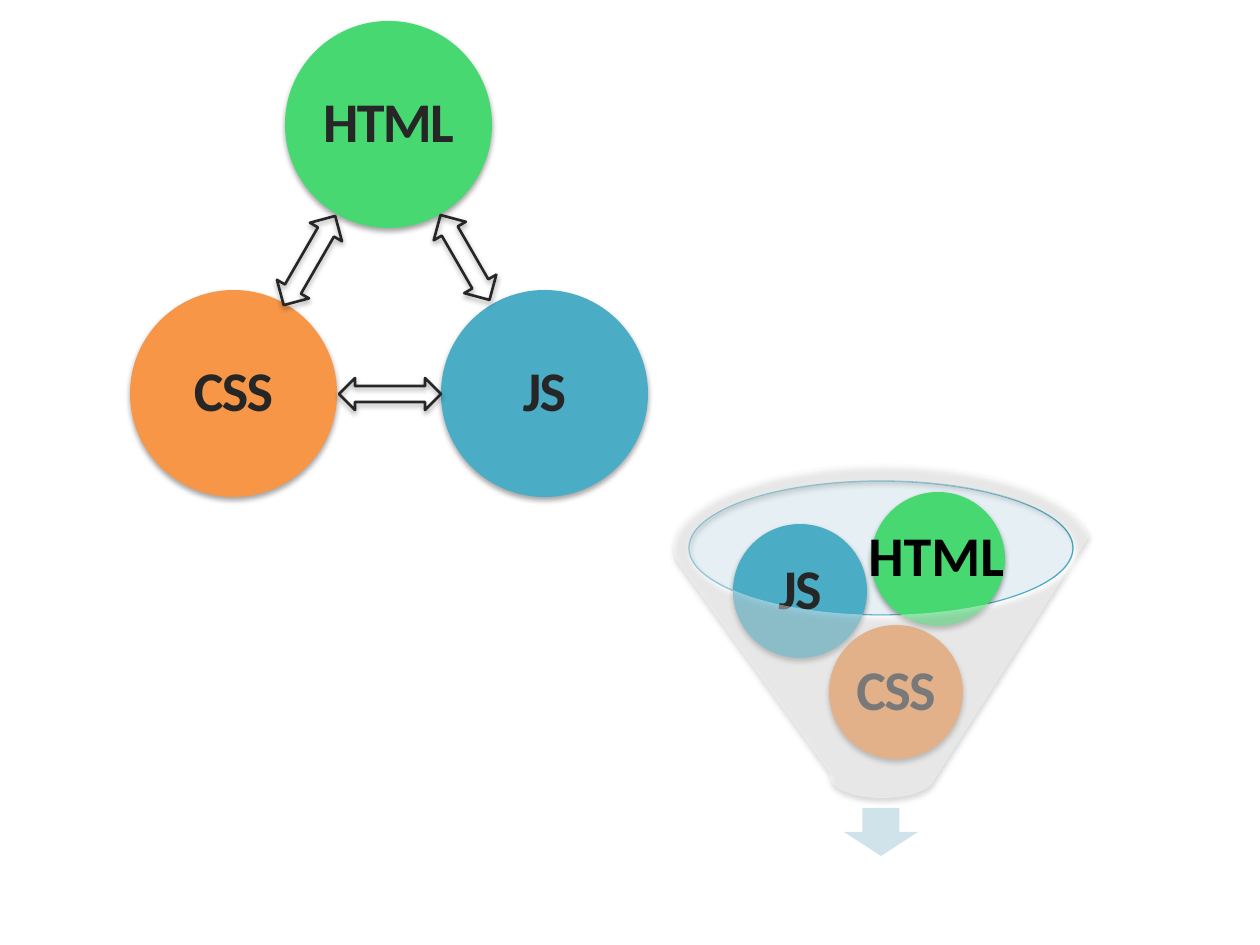
from dataclasses import dataclass

from lxml.etree import SubElement
from pptx import Presentation
from pptx.dml.color import RGBColor
from pptx.enum.shapes import MSO_SHAPE
from pptx.enum.text import MSO_ANCHOR, PP_ALIGN
from pptx.oxml.ns import qn
from pptx.util import Emu, Pt

SCALE = 914400 // 126


@dataclass(frozen=True)
class Theme:
    html: str = "47D872"
    css: str = "F79646"
    js: str = "4BACC6"
    ink: str = "262626"
    black: str = "000000"
    white: str = "FFFFFF"
    rim: str = "C1DBE5"
    outlet: str = "D0E3EA"
    font: str = "Calibri"
    label: int = 32
    arrow_line: float = 1.5
    rim_line: float = 0.75


def px(n):
    return Emu(n * SCALE)


def apply(obj, values):
    for name, value in values.items():
        setattr(obj, name, value)


class Deck:
    """Draws styled elements on the current slide."""

    def __init__(self, theme):
        self.theme = theme
        self.prs = Presentation()
        apply(self.prs, {"slide_width": px(1260), "slide_height": px(945)})
        self.s = None

    def slide(self):
        self.s = self.prs.slides.add_slide(self.prs.slide_layouts[6])

    def shape(self, kind, box, fill=None, opacity=None, line=None, width=1, shadow=None):
        sp = self.s.shapes.add_shape(kind, *map(px, box))
        sp.shadow.inherit = False
        if fill:
            sp.fill.solid()
            sp.fill.fore_color.rgb = RGBColor.from_string(fill)
        else:
            sp.fill.background()
        if opacity:
            color = sp._element.spPr.find(qn("a:solidFill"))[0]
            SubElement(color, qn("a:alpha"), val=str(opacity * 1000))
        if line:
            sp.line.color.rgb = RGBColor.from_string(line)
            sp.line.width = Pt(width)
        else:
            sp.line.fill.background()
        if shadow:
            self.shadow(sp, shadow)
        return sp

    def shadow(self, sp, opacity):
        effects = sp._element.spPr.find(qn("a:effectLst"))
        outer = SubElement(effects, qn("a:outerShdw"), blurRad=str(Pt(3.1)),
                           dist=str(Pt(1.8)), dir="5400000", rotWithShape="0")
        color = SubElement(outer, qn("a:srgbClr"), val=self.theme.black)
        SubElement(color, qn("a:alpha"), val=str(opacity * 1000))

    def label(self, sp, text, color):
        p = sp.text_frame.paragraphs[0]
        r = p.add_run()
        r.text = text
        apply(r.font, {"name": self.theme.font, "size": Pt(self.theme.label), "bold": True})
        r.font.color.rgb = RGBColor.from_string(color)
        return p, r

    def circle(self, x, y, size, fill, text=None):
        sp = self.shape(MSO_SHAPE.OVAL, (x, y, size, size), fill, shadow=35)
        if text:
            apply(sp.text_frame, {
                "word_wrap": False, "vertical_anchor": MSO_ANCHOR.MIDDLE,
                "margin_left": px(5), "margin_right": px(5),
                "margin_top": px(5), "margin_bottom": px(5)})
            p, r = self.label(sp, text, self.theme.ink)
            apply(p, {"alignment": PP_ALIGN.CENTER, "line_spacing": 0.9})
            r._r.get_or_add_rPr().set("spc", "-100")

    def arrow(self, box, rotation):
        sp = self.shape(MSO_SHAPE.LEFT_RIGHT_ARROW, box, line=self.theme.ink,
                        width=self.theme.arrow_line, shadow=35)
        sp.rotation = rotation

    def text(self, box, text, color):
        sp = self.s.shapes.add_textbox(*map(px, box))
        sp.text_frame.word_wrap = True
        self.label(sp, text, color)

    def save(self):
        self.prs.save("out.pptx")


def cycle(deck):
    t = deck.theme
    for x, y, fill, name in ((285, 21, t.html, "HTML"),
                             (441, 290, t.js, "JS"),
                             (130, 290, t.css, "CSS")):
        deck.circle(x, y, 207, fill, name)
    for box, rotation in (((416, 239, 98, 37), 60),
                          ((339, 378, 102, 32), 180),
                          ((258, 242, 103, 37), 300)):
        deck.arrow(box, rotation)


def funnel(deck):
    t = deck.theme
    deck.shape(MSO_SHAPE.OVAL, (689, 481, 384, 134), t.rim, 40, t.js, t.rim_line)
    deck.shape(MSO_SHAPE.DOWN_ARROW, (844, 808, 74, 48), t.outlet)
    for x, y, fill, name in ((829, 625, t.css, "CSS"),
                             (733, 524, t.js, "JS"),
                             (871, 492, t.html, None)):
        deck.circle(x, y, 134, fill, name)
    deck.shape(MSO_SHAPE.FUNNEL, (674, 465, 417, 333), t.white, 40, shadow=38)
    deck.text((856, 514, 168, 81), "HTML", t.black)


def main():
    deck = Deck(Theme())
    deck.slide()
    cycle(deck)
    funnel(deck)
    deck.save()


if __name__ == "__main__":
    main()
